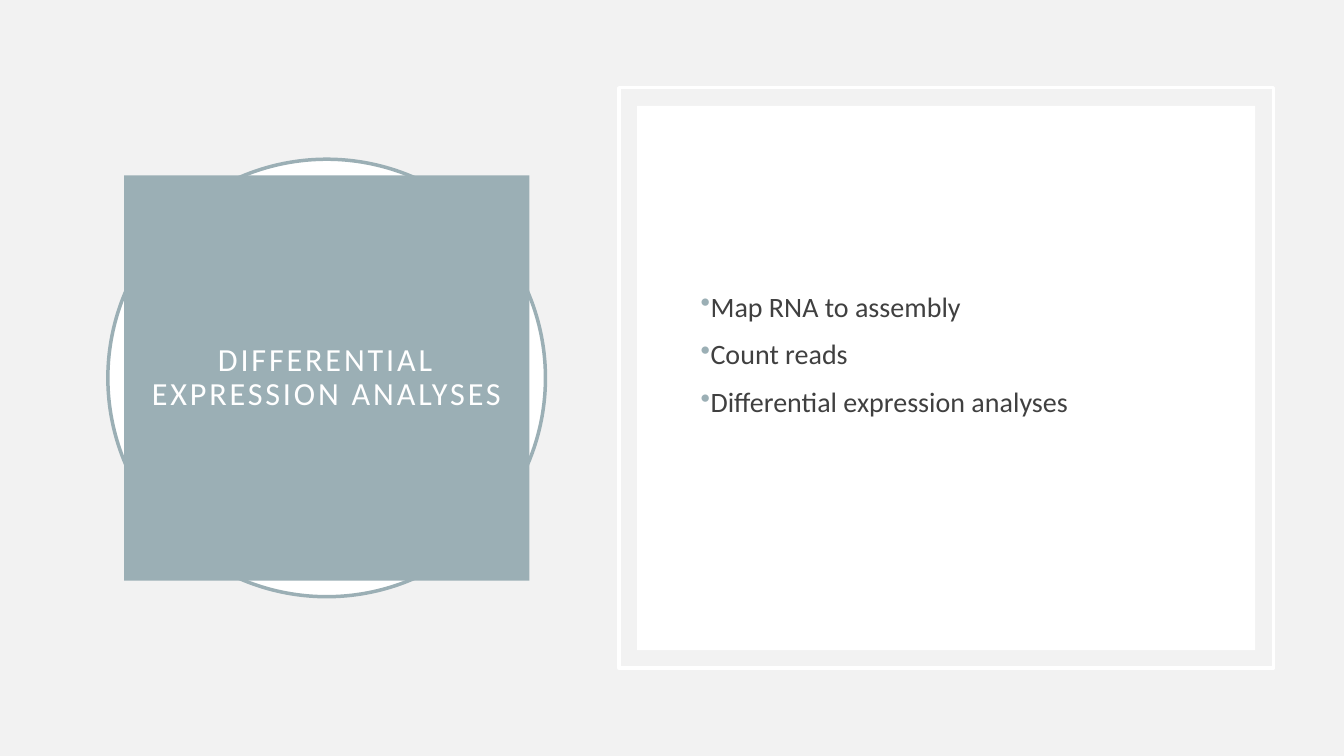
from dataclasses import dataclass

from lxml import etree
from pptx import Presentation
from pptx.dml.color import RGBColor
from pptx.enum.shapes import MSO_SHAPE
from pptx.enum.text import MSO_ANCHOR, MSO_AUTO_SIZE, PP_ALIGN
from pptx.oxml.ns import qn
from pptx.util import Inches, Pt

OVAL, RECTANGLE = MSO_SHAPE.OVAL, MSO_SHAPE.RECTANGLE
MIDDLE, CENTER, NO_FIT = MSO_ANCHOR.MIDDLE, PP_ALIGN.CENTER, MSO_AUTO_SIZE.NONE

# Content
TITLE = "DIFFERENTIAL EXPRESSION ANALYSES"
STEPS = ["Map RNA to assembly", "Count reads", "Differential expression analyses"]

# Geometry in inches: left, top, width, height
RING = (1.07, 1.58, 4.34, 4.34)
FRAME = (6.14, 0.87, 6.49, 5.76)
STEPS_BOX = (6.85, 1.58, 5.09, 4.34)
TITLE_GAP = 0.16
PANEL_GAP = 0.18
TITLE_INSET = 0.2
STEPS_BOTTOM_INSET = 0.53  # lifts the list above the panel's middle


@dataclass(frozen=True)
class Theme:
    font: str = "Calibri"
    background: str = "F2F2F2"
    accent: str = "9BAFB5"
    white: str = "FFFFFF"
    body: str = "404040"
    title_size: float = 23
    body_size: float = 20
    line_width: float = 2.5


THEME = Theme()


def color(value):
    return RGBColor.from_string(value)


def inset(box, gap):
    left, top, width, height = box
    return left + gap, top + gap, width - 2 * gap, height - 2 * gap


def lengths(box):
    return [Inches(value) for value in box]


def add_block(slide, kind, box, fill=None, line=None):
    block = slide.shapes.add_shape(kind, *lengths(box))
    block.shadow.inherit = False
    if fill:
        block.fill.solid()
        block.fill.fore_color.rgb = color(fill)
    else:
        block.fill.background()
    if line:
        block.line.color.rgb = color(line)
        block.line.width = Pt(THEME.line_width)
    else:
        block.line.fill.background()


def set_font(paragraph, size, value):
    paragraph.font.name = THEME.font
    paragraph.font.size = Pt(size)
    paragraph.font.color.rgb = color(value)


def add_bullet(paragraph):
    properties = paragraph._p.get_or_add_pPr()
    properties.set("marL", "0")
    properties.set("indent", str(-Inches(0.25)))
    bullet_color = etree.Element(qn("a:buClr"))
    etree.SubElement(bullet_color, qn("a:srgbClr"), val=THEME.accent)
    bullet = etree.Element(qn("a:buChar"), char="•")
    default_font = properties.find(qn("a:defRPr"))
    for element in (bullet_color, bullet):
        default_font.addprevious(element)


def format_title(slide):
    title = slide.shapes.title
    title.left, title.top, title.width, title.height = lengths(inset(RING, TITLE_GAP))
    title.fill.solid()
    title.fill.fore_color.rgb = color(THEME.accent)
    frame = title.text_frame
    frame.auto_size = NO_FIT
    frame.word_wrap = True
    frame.vertical_anchor = MIDDLE
    frame.margin_left = frame.margin_right = Inches(TITLE_INSET)
    frame.margin_top = frame.margin_bottom = Inches(TITLE_INSET)
    frame.text = TITLE
    heading = frame.paragraphs[0]
    heading.alignment = CENTER
    heading.line_spacing = 0.9
    set_font(heading, THEME.title_size, THEME.white)
    heading.runs[0].font._element.set("spc", "200")
    # Bring the title in front of the ring
    slide.shapes._spTree.append(title._element)


def add_steps(slide):
    frame = slide.shapes.add_textbox(*lengths(STEPS_BOX)).text_frame
    frame.word_wrap = True
    frame.vertical_anchor = MIDDLE
    frame.margin_bottom = Inches(STEPS_BOTTOM_INSET)
    frame.text = "\n".join(STEPS)
    for step in frame.paragraphs:
        step.space_before = Pt(10)
        set_font(step, THEME.body_size, THEME.body)
        add_bullet(step)


def main():
    deck = Presentation()
    deck.slide_width, deck.slide_height = Inches(13.33), Inches(7.5)
    slide = deck.slides.add_slide(deck.slide_layouts[5])
    slide.background.fill.solid()
    slide.background.fill.fore_color.rgb = color(THEME.background)

    # Title square over its ring
    add_block(slide, OVAL, RING, THEME.white, THEME.accent)
    format_title(slide)

    # Framed panel with the steps
    add_block(slide, RECTANGLE, FRAME, line=THEME.white)
    add_block(slide, RECTANGLE, inset(FRAME, PANEL_GAP), THEME.white)
    add_steps(slide)

    deck.save("out.pptx")


if __name__ == "__main__":
    main()
